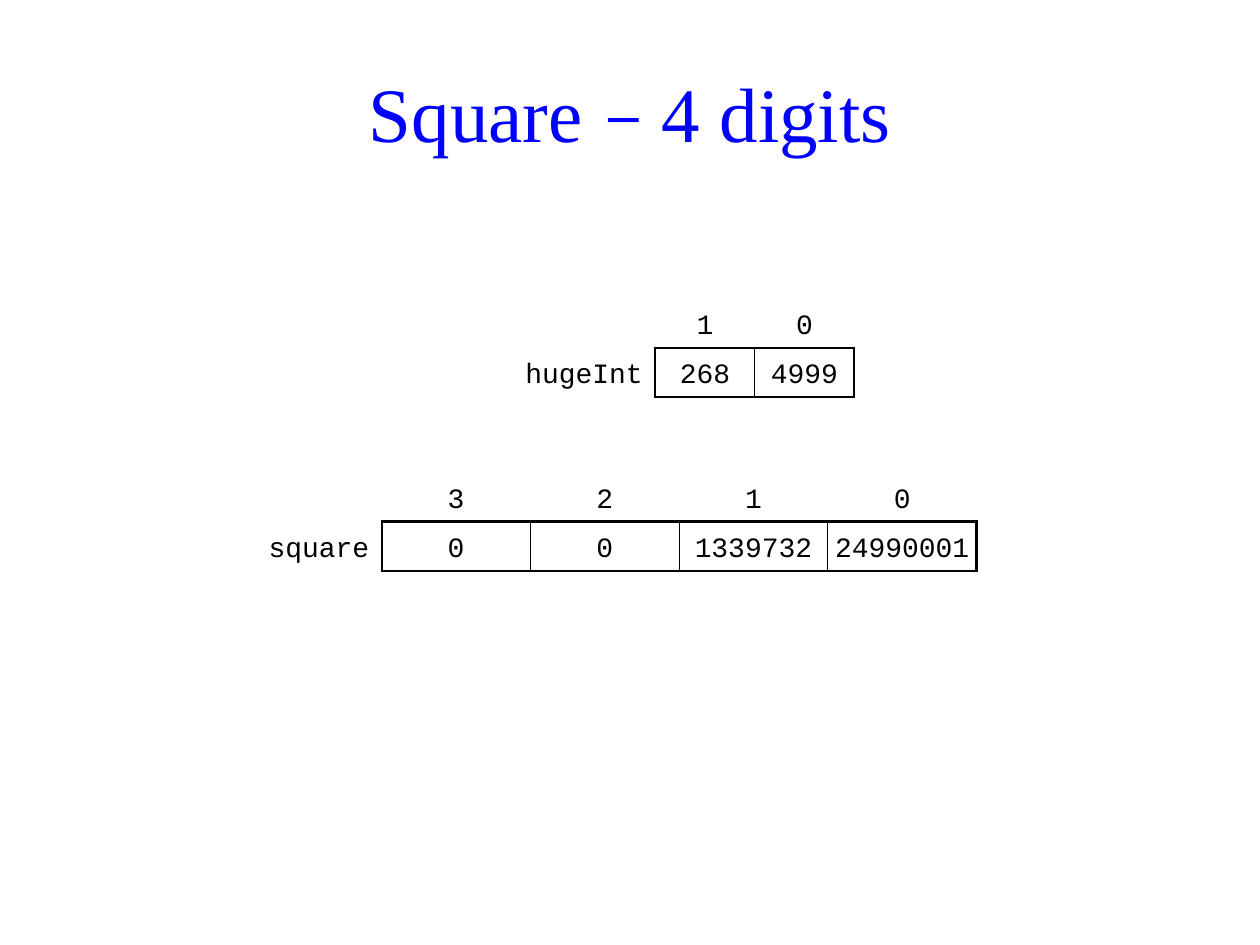
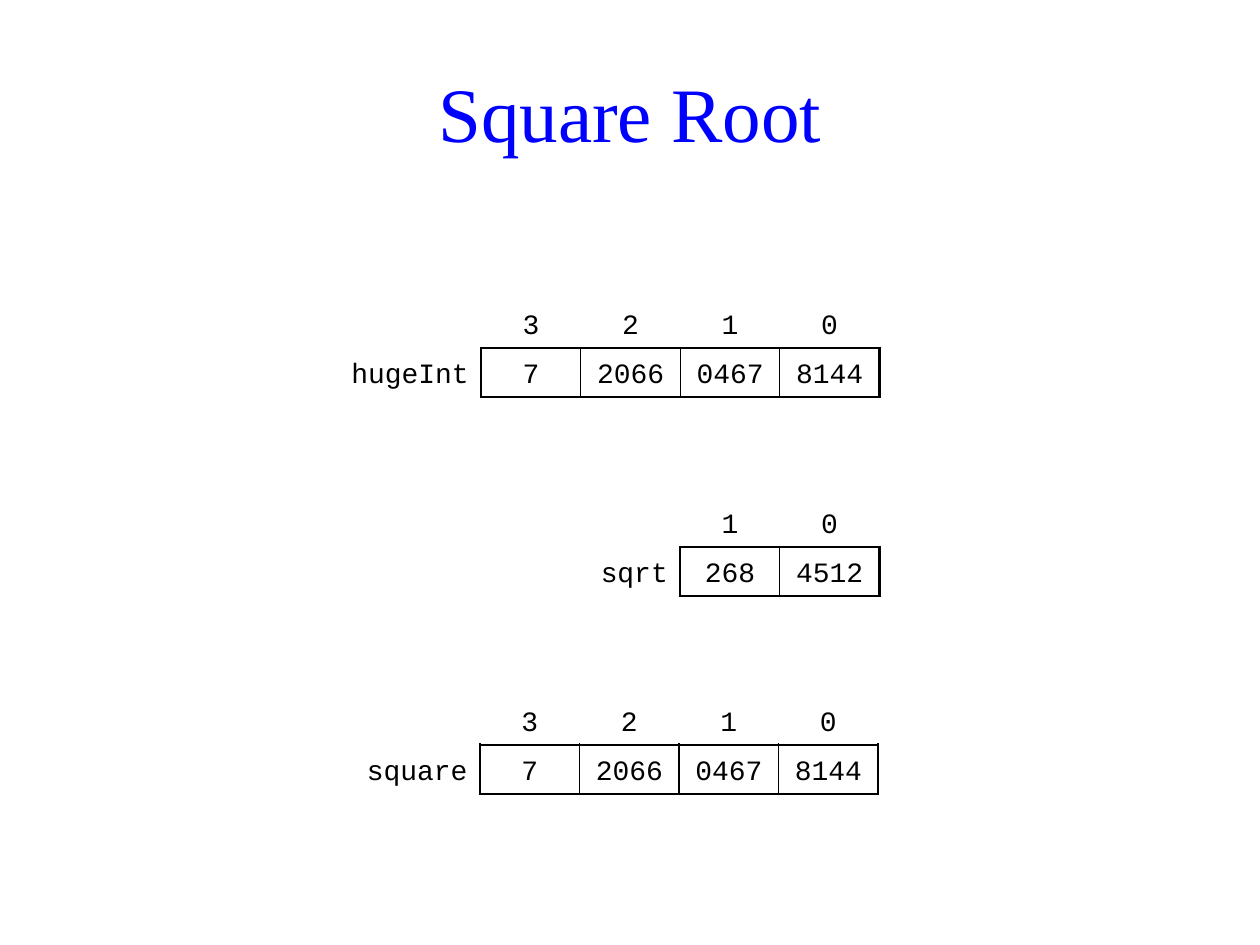
import pptx
import pptx.dml.color
import pptx.enum.text
import pptx.oxml
import pptx.util
from pptx.oxml.ns import nsdecls
from pptx.util import Inches

BLUE = pptx.dml.color.RGBColor(0x00, 0x00, 0xFF)
BLACK = pptx.dml.color.RGBColor(0x00, 0x00, 0x00)
TITLE_FONT = "Times New Roman"
SYMBOL_FONT = "Cambria"
CODE_FONT = "Courier New"
ROW_HEIGHT = 0.39
THICK, THIN = 1.5, 0.75
ALIGN = pptx.enum.text.PP_ALIGN
MIDDLE = pptx.enum.text.MSO_ANCHOR.MIDDLE


def add_title(slide, left, top, width, height, runs):
    """Centred slide title from (text, font name) runs."""
    box = slide.shapes.add_textbox(Inches(left), Inches(top), Inches(width), Inches(height))
    frame = box.text_frame
    frame.word_wrap = True
    frame.vertical_anchor = MIDDLE
    paragraph = frame.paragraphs[0]
    paragraph.alignment = ALIGN.CENTER
    paragraph.font.size = pptx.util.Pt(44)
    paragraph.font.color.rgb = BLUE
    for text, font_name in runs:
        run = paragraph.add_run()
        run.text = text
        run.font.name = font_name
        run.font.size = pptx.util.Pt(44)
        run.font.color.rgb = BLUE


def set_borders(cell, **widths):
    """Draw the named sides (L, R, T, B) in black and clear the others."""
    properties = cell._tc.get_or_add_tcPr()
    for position, side in enumerate("LRTB"):
        width = widths.get(side, 0)
        paint = (f'<a:solidFill><a:srgbClr val="{BLACK}"/></a:solidFill>'
                 if width else "<a:noFill/>")
        properties.insert(position, pptx.oxml.parse_xml(
            f'<a:ln{side} {nsdecls("a")} w="{pptx.util.Pt(width)}">{paint}</a:ln{side}>'))


def fill_cell(cell, text, alignment=ALIGN.CENTER, margins=(0, 0)):
    cell.fill.background()
    cell.vertical_anchor = MIDDLE
    cell.margin_left, cell.margin_right = map(Inches, margins)
    cell.margin_top = cell.margin_bottom = 0
    paragraph = cell.text_frame.paragraphs[0]
    paragraph.alignment = alignment
    paragraph.line_spacing = 1.25
    paragraph.font.name = CODE_FONT
    paragraph.font.size = pptx.util.Pt(16)
    paragraph.font.color.rgb = BLACK
    if text:
        paragraph.add_run().text = text


def add_digit_array(slide, left, top, label, label_width, values, value_width=0.79):
    """Labelled row of boxed values under indices that count down to 0."""
    count = len(values)
    frame = slide.shapes.add_table(
        2, count + 1, Inches(left), Inches(top),
        Inches(label_width + count * value_width), Inches(2 * ROW_HEIGHT))
    table = frame.table
    table.first_row = table.horz_banding = False
    for row in table.rows:
        row.height = Inches(ROW_HEIGHT)
    for column in table.columns:
        column.width = Inches(value_width)
    table.columns[0].width = Inches(label_width)

    # Label column
    fill_cell(table.cell(0, 0), "")
    set_borders(table.cell(0, 0))
    fill_cell(table.cell(1, 0), label, ALIGN.RIGHT, (0.05, 0.1))
    set_borders(table.cell(1, 0), R=THICK)

    # Indices and boxed values
    for column, value in enumerate(values, start=1):
        index_cell, value_cell = table.cell(0, column), table.cell(1, column)
        fill_cell(index_cell, str(count - column))
        set_borders(index_cell, B=THICK)
        fill_cell(value_cell, value)
        set_borders(value_cell, T=THICK, B=THICK,
                    L=THICK if column == 1 else THIN,
                    R=THICK if column == count else THIN)


def add_array_slide(presentation, title_runs, arrays):
    slide = presentation.slides.add_slide(presentation.slide_layouts[6])
    add_title(slide, 0.47, 0.4, 9.06, 0.98, title_runs)
    for array in arrays:
        add_digit_array(slide, *array)


def main():
    presentation = pptx.Presentation()
    presentation.slide_width, presentation.slide_height = Inches(10), Inches(7.5)

    add_array_slide(
        presentation,
        [("Square ", TITLE_FONT), ("− ", SYMBOL_FONT), ("4 digits", TITLE_FONT)],
        [(2.05, 3.75, "square", 0.98, ["0", "0", "1339732", "24990001"], 1.18),
         (4.02, 2.37, "hugeInt", 1.18, ["268", "4999"])])

    squared = ["7", "2066", "0467", "8144"]
    add_array_slide(
        presentation,
        [("Square Root", TITLE_FONT)],
        [(2.64, 2.37, "hugeInt", 1.18, squared),
         (2.83, 5.52, "square", 0.98, squared),
         (4.61, 3.95, "sqrt", 0.79, ["268", "4512"])])

    presentation.save("out.pptx")


if __name__ == "__main__":
    main()
